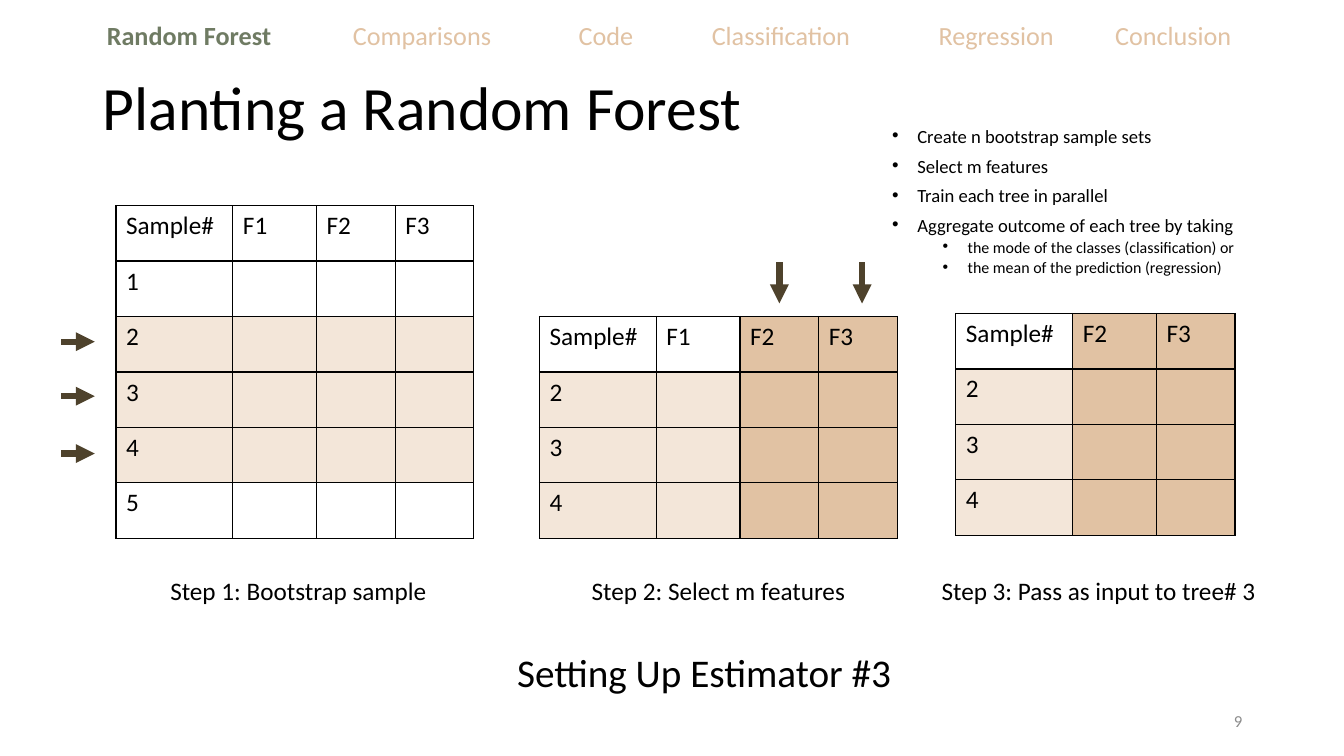
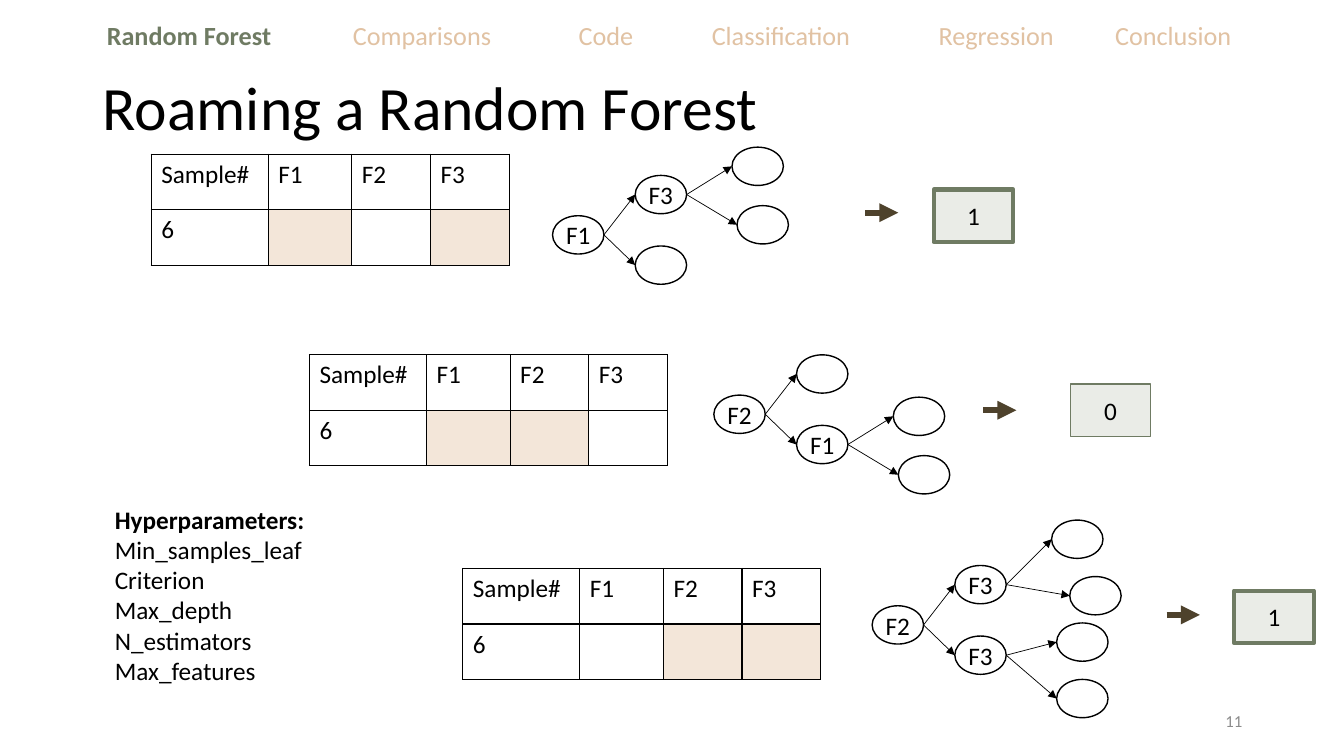
from lxml import etree
from pptx import Presentation
from pptx import util as u
from pptx.dml import color
from pptx.enum import shapes, text
from pptx.oxml import ns

COLORS = {
    "black": "000000",
    "green": "6F7B63",
    "pale_green": "EAECE7",
    "tan": "E1C2A3",
    "cream": "F3E6D9",
    "brown": "4E422C",
    "gray": "8C8C8C",
}
SECTIONS = [
    ("Random Forest", 1.06),
    ("Comparisons", 3.5),
    ("Code", 5.74),
    ("Classification", 7.06),
    ("Regression", 9.31),
    ("Conclusion", 11.06),
]
COLUMN_WIDTHS = [1.16, 0.83, 0.78, 0.78]
ROW_HEIGHT = 0.55
NODE_WIDTH, NODE_HEIGHT = 0.51, 0.38
ARROW_LENGTH = 0.33
FEATURES = ["F1", "F2", "F3"]
LEAF_PAIR = [(0.96, -0.28), (1.01, 0.3)]
WIDE_PAIR = [(0.96, -0.45), (1.14, 0.11)]
LOW_PAIR = [(1.01, -0.13), (1.01, 0.43)]


def rgb(name):
    return color.RGBColor.from_string(COLORS[name])


def add_xml(parent, tag, **attributes):
    return etree.SubElement(parent, ns.qn(tag), attributes)


class Deck:
    font_name = "Calibri"

    def __init__(self):
        self.presentation = Presentation()
        self.presentation.slide_width = u.Inches(13.33)
        self.presentation.slide_height = u.Inches(7.5)
        self.slide = None

    def add_slide(self, title, number):
        self.slide = self.presentation.slides.add_slide(self.presentation.slide_layouts[6])
        middle = {"vertical_anchor": text.MSO_ANCHOR.MIDDLE}
        self.add_text(0.92, 0.37, 11.5, 1.45, [title], size=44,
                      frame=middle, layout={"line_spacing": 0.9})
        self.add_navigation(middle)
        self.add_text(9.42, 6.95, 3, 0.4, [str(number)], size=12, ink="gray",
                      frame=middle, layout={"alignment": text.PP_ALIGN.RIGHT})

    def add_navigation(self, frame):
        start = SECTIONS[0][1]
        paragraph = self.add_text(0, 0.15, 13.33, 0.4, [""], frame={
            **frame, "margin_left": u.Inches(start)})[0]
        tabs = add_xml(paragraph._p.get_or_add_pPr(), "a:tabLst")
        for label, left in SECTIONS[1:]:
            add_xml(tabs, "a:tab", pos=str(u.Inches(left - start)), algn="l")
        for index, (label, left) in enumerate(SECTIONS):
            current = index == 0
            self.add_run(paragraph, label if current else "\t" + label, 18.7,
                         "green" if current else "tan", current)

    def add_run(self, paragraph, content, size=18, ink="black", bold=False):
        run = paragraph.add_run()
        run.text = content
        values = {"name": self.font_name, "size": u.Pt(size), "bold": bold}
        for name, value in values.items():
            setattr(run.font, name, value)
        run.font.color.rgb = rgb(ink)

    def add_text(self, left, top, width, height, lines, size=18, ink="black",
                 frame=None, layout=None, bold_first=False):
        box = self.slide.shapes.add_textbox(*map(u.Inches, (left, top, width, height)))
        box.text_frame.word_wrap = True
        for name, value in (frame or {}).items():
            setattr(box.text_frame, name, value)
        paragraphs = []
        for index, line in enumerate(lines):
            paragraph = box.text_frame.add_paragraph() if index else box.text_frame.paragraphs[0]
            for name, value in (layout or {}).items():
                setattr(paragraph, name, value)
            if line:
                self.add_run(paragraph, line, size, ink, bold_first and index == 0)
            paragraphs.append(paragraph)
        return paragraphs

    def add_bullets(self, left, top, width, height, items):
        paragraphs = self.add_text(left, top, width, height, [""] * len(items),
                                   layout={"line_spacing": 0.7})
        for index, (paragraph, (level, content)) in enumerate(zip(paragraphs, items)):
            properties = paragraph._p.get_or_add_pPr()
            properties.set("marL", str(u.Inches(0.25 + 0.5 * level)))
            properties.set("indent", str(u.Inches(-0.25)))
            paragraph.level = level
            paragraph.space_before = u.Pt((5 if level else 10) if index else 0)
            add_xml(properties, "a:buFont", typeface="Arial")
            add_xml(properties, "a:buChar", char="•")
            self.add_run(paragraph, content, 11.4 if level else 13.3)

    def add_table(self, left, top, features, samples, fill_for):
        headings = ["Sample#"] + features
        names = ["Sample#"] + samples
        widths = COLUMN_WIDTHS[:len(headings)]
        table = self.slide.shapes.add_table(
            len(names), len(headings), u.Inches(left), u.Inches(top),
            u.Inches(sum(widths)), u.Inches(ROW_HEIGHT * len(names))).table
        table.first_row = table.horz_banding = False
        for column, width in zip(table.columns, widths):
            column.width = u.Inches(width)
        for row_index, sample in enumerate(names):
            table.rows[row_index].height = u.Inches(ROW_HEIGHT)
            for column_index, feature in enumerate(headings):
                cell = table.cell(row_index, column_index)
                self.add_borders(cell)
                fill = fill_for(sample, feature)
                if fill:
                    cell.fill.solid()
                    cell.fill.fore_color.rgb = rgb(fill)
                else:
                    cell.fill.background()
                content = feature if row_index == 0 else sample if column_index == 0 else ""
                if content:
                    self.add_run(cell.text_frame.paragraphs[0], content)

    def add_borders(self, cell):
        properties = cell._tc.get_or_add_tcPr()
        for side in ("L", "R", "T", "B"):
            line = add_xml(properties, "a:ln" + side, w=str(u.Pt(1)))
            fill = add_xml(line, "a:solidFill")
            add_xml(fill, "a:srgbClr", val=COLORS["black"])

    def add_arrow(self, start, end, ink="brown", weight=4.5):
        arrow = self.slide.shapes.add_connector(
            shapes.MSO_CONNECTOR.STRAIGHT, *map(u.Inches, (*start, *end)))
        arrow.line.color.rgb = rgb(ink)
        arrow.line.width = u.Pt(weight)
        add_xml(arrow.line._get_or_add_ln(), "a:tailEnd", type="triangle")
        add_xml(arrow._element.spPr, "a:effectLst")

    def add_shape(self, kind, left, top, width, height, label, line, weight, fill=None):
        shape = self.slide.shapes.add_shape(kind, *map(u.Inches, (left, top, width, height)))
        shape.shadow.inherit = False
        if fill:
            shape.fill.solid()
            shape.fill.fore_color.rgb = rgb(fill)
        else:
            shape.fill.background()
        shape.line.color.rgb = rgb(line)
        shape.line.width = u.Pt(weight)
        if label:
            values = {"margin_left": 0, "margin_right": 0, "margin_top": 0,
                      "margin_bottom": 0, "vertical_anchor": text.MSO_ANCHOR.MIDDLE}
            for name, value in values.items():
                setattr(shape.text_frame, name, value)
            paragraph = shape.text_frame.paragraphs[0]
            paragraph.alignment = text.PP_ALIGN.CENTER
            self.add_run(paragraph, label)

    def add_node(self, left, top, label="", parent=None):
        self.add_shape(shapes.MSO_SHAPE.OVAL, left, top, NODE_WIDTH, NODE_HEIGHT,
                       label, "black", 1)
        if parent:
            middle = NODE_HEIGHT / 2
            self.add_arrow((parent[0] + NODE_WIDTH, parent[1] + middle),
                           (left, top + middle), "black", 0.5)
        return left, top

    def add_tree(self, left, top, label, branches):
        root = self.add_node(left, top, label)
        for rise, (branch_label, leaves) in zip((-0.4, 0.3), branches):
            branch = self.add_node(left + 0.82, top + rise, branch_label, root)
            for across, down in leaves:
                self.add_node(branch[0] + across, branch[1] + down, parent=branch)

    def add_vote(self, left, top, label, weight):
        self.add_shape(shapes.MSO_SHAPE.RECTANGLE, left, top, 0.79, 0.52,
                       label, "green", weight, "pale_green")


def build_planting(deck):
    deck.add_slide("Planting a Random Forest", 9)
    deck.add_bullets(8.75, 1.25, 4.5, 1.52, [
        (0, "Create n bootstrap sample sets"),
        (0, "Select m features"),
        (0, "Train each tree in parallel"),
        (0, "Aggregate outcome of each tree by taking"),
        (1, "the mode of the classes (classification) or"),
        (1, "the mean of the prediction (regression)"),
    ])
    picked_samples = ["2", "3", "4"]
    picked_features = ["F2", "F3"]

    def sample_fill(sample, feature):
        return "cream" if sample in picked_samples else None

    def feature_fill(sample, feature):
        return "tan" if feature in picked_features else sample_fill(sample, feature)

    deck.add_table(1.15, 2.04, FEATURES, list("12345"), sample_fill)
    deck.add_table(5.35, 3.14, FEATURES, picked_samples, feature_fill)
    deck.add_table(9.48, 3.11, picked_features, picked_samples, feature_fill)
    for top in (3.39, 3.93, 4.5):
        deck.add_arrow((0.61, top), (0.61 + ARROW_LENGTH, top))
    for left in (7.73, 8.55):
        deck.add_arrow((left, 2.6), (left, 3.01))
    for left, caption in (
        (1.59, "Step 1: Bootstrap sample"),
        (5.77, "Step 2: Select m features"),
        (9.24, "Step 3: Pass as input to tree# 3"),
    ):
        deck.add_text(left, 5.66, 3.95, 0.4, [caption])
    deck.add_text(5.03, 6.38, 5.08, 0.57, ["Setting Up Estimator #3"], size=28)


def build_roaming(deck):
    deck.add_slide("Roaming a Random Forest", 11)
    estimators = [
        ((1.5, 1.53), ["F1", "F3"], (5.48, 2.14), "F1",
         [("F3", LEAF_PAIR), ("", [])], (8.58, 2.11), (9.26, 1.88), "1"),
        ((3.07, 3.52), ["F1", "F2"], (7.08, 3.92), "F2",
         [("", []), ("F1", LEAF_PAIR)], (9.75, 4.07), (10.62, 3.81), "0"),
        ((4.59, 5.64), ["F2", "F3"], (8.65, 6.01), "F2",
         [("F3", WIDE_PAIR), ("F3", LOW_PAIR)], (11.57, 6.1), (12.24, 5.86), "1"),
    ]
    for table, used, tree, root, branches, arrow, vote, outcome in estimators:
        deck.add_table(*table, FEATURES, ["6"], lambda sample, feature: (
            "cream" if sample == "6" and feature in used else None))
        deck.add_tree(*tree, root, branches)
        deck.add_arrow(arrow, (arrow[0] + ARROW_LENGTH, arrow[1]))
        deck.add_vote(*vote, outcome, 3 if outcome == "1" else 1)
    deck.add_text(1.04, 4.95, 2.92, 1.92, [
        "Hyperparameters:", "Min_samples_leaf", "Criterion",
        "Max_depth", "N_estimators", "Max_features",
    ], bold_first=True)


def main():
    deck = Deck()
    build_planting(deck)
    build_roaming(deck)
    deck.presentation.save("out.pptx")


if __name__ == "__main__":
    main()
